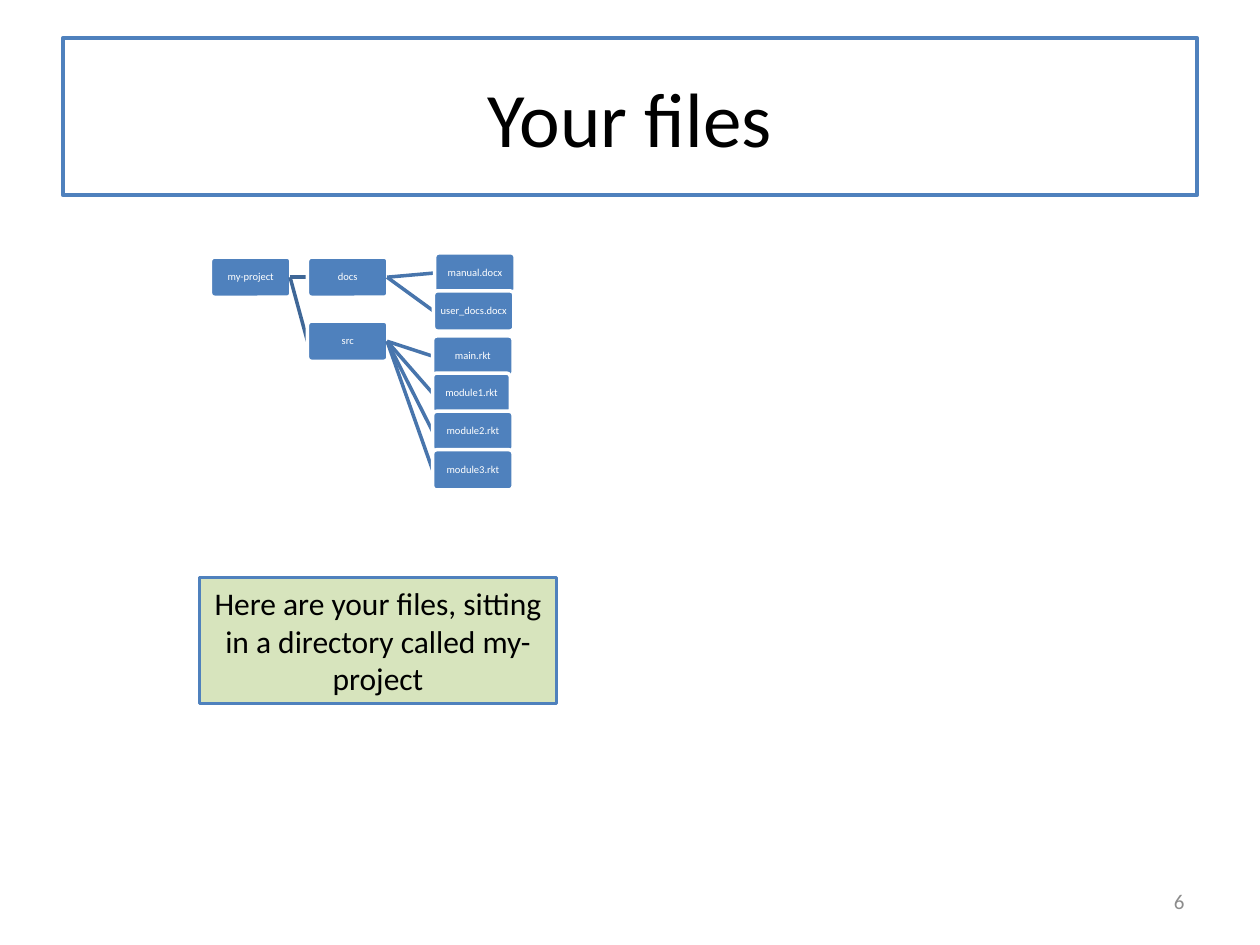
from pptx import Presentation
from pptx.dml.color import RGBColor
from pptx.enum.shapes import MSO_CONNECTOR as Connector, MSO_SHAPE as Shape
from pptx.enum.text import MSO_ANCHOR as Anchor, PP_ALIGN as Align
from pptx.oxml.ns import qn
from pptx.util import Pt
from lxml import etree

COLORS = {
    "blue": "4F81BD", "root_line": "3F6797", "file_line": "4875AC",
    "green": "D7E4BD", "white": "FFFFFF", "black": "000000", "gray": "8C8C8C",
}
NODE_WIDTH, NODE_HEIGHT = 46, 23


def color(name):
    return RGBColor.from_string(COLORS[name])


def write_text(shape, text, size, font_color, align=Align.CENTER):
    frame = shape.text_frame
    frame.word_wrap = True
    frame.vertical_anchor = Anchor.MIDDLE
    paragraph = frame.paragraphs[0]
    paragraph.alignment = align
    run = paragraph.add_run()
    run.text = text
    font_format = {"name": "Calibri", "size": Pt(size), "bold": False}
    for name, value in font_format.items():
        setattr(run.font, name, value)
    run.font.color.rgb = color(font_color)


presentation = Presentation()
presentation.slide_width, presentation.slide_height = Pt(720), Pt(540)
slide = presentation.slides.add_slide(presentation.slide_layouts[5])

title = slide.shapes.title
title_place = {"left": 36, "top": 21.6, "width": 648, "height": 90}
for name, value in title_place.items():
    setattr(title, name, Pt(value))
title.line.color.rgb = color("blue")
title.line.width = Pt(2.25)
write_text(title, "Your files", 44, "black")

nodes = [
    ("my-project", None, 120.25, 146.9, NODE_WIDTH),
    ("docs", "my-project", 175.7, 146.9, NODE_WIDTH),
    ("manual.docx", "docs", 248.4, 144.5, NODE_WIDTH),
    ("user_docs.docx", "docs", 247.7, 166.2, NODE_WIDTH),
    ("src", "my-project", 175.7, 183.5, NODE_WIDTH),
    ("main.rkt", "src", 247.2, 192, NODE_WIDTH),
    ("module1.rkt", "src", 247.2, 213.2, 44.5),
    ("module2.rkt", "src", 247.2, 235, NODE_WIDTH),
    ("module3.rkt", "src", 247.2, 257, NODE_WIDTH),
]
exits = {}
for label, parent, left, top, width in nodes:
    middle = top + NODE_HEIGHT / 2
    exits[label] = (left + width - 0.5, middle)
    if parent:
        start_x, start_y = exits[parent]
        branch = slide.shapes.add_connector(
            Connector.STRAIGHT, Pt(start_x), Pt(start_y), Pt(left), Pt(middle))
        branch.line.color.rgb = color("root_line" if parent == "my-project" else "file_line")
        branch.line.width = Pt(2)
        etree.SubElement(branch.line._get_or_add_ln().getparent(), qn("a:effectLst"))
    node = slide.shapes.add_shape(
        Shape.ROUNDED_RECTANGLE, Pt(left), Pt(top), Pt(width), Pt(NODE_HEIGHT))
    node.adjustments[0] = 0.1
    node.shadow.inherit = False
    node.fill.solid()
    node.fill.fore_color.rgb = color("blue")
    node.line.color.rgb = color("white")
    node.line.width = Pt(2)
    for side in ("left", "top", "right", "bottom"):
        setattr(node.text_frame, f"margin_{side}", Pt(0))
    write_text(node, label, 6, "white")
    node.text_frame.paragraphs[0].line_spacing = 0.9

caption = slide.shapes.add_shape(Shape.RECTANGLE, Pt(114), Pt(330), Pt(204), Pt(72))
caption.shadow.inherit = False
caption.fill.solid()
caption.fill.fore_color.rgb = color("green")
caption.line.color.rgb = color("blue")
caption.line.width = Pt(2)
write_text(caption, "Here are your files, sitting in a directory called my-project", 18, "black")

slide_number = slide.shapes.add_textbox(Pt(516), Pt(500.5), Pt(168), Pt(28.75))
write_text(slide_number, "6", 12, "gray", Align.RIGHT)

presentation.save("out.pptx")
